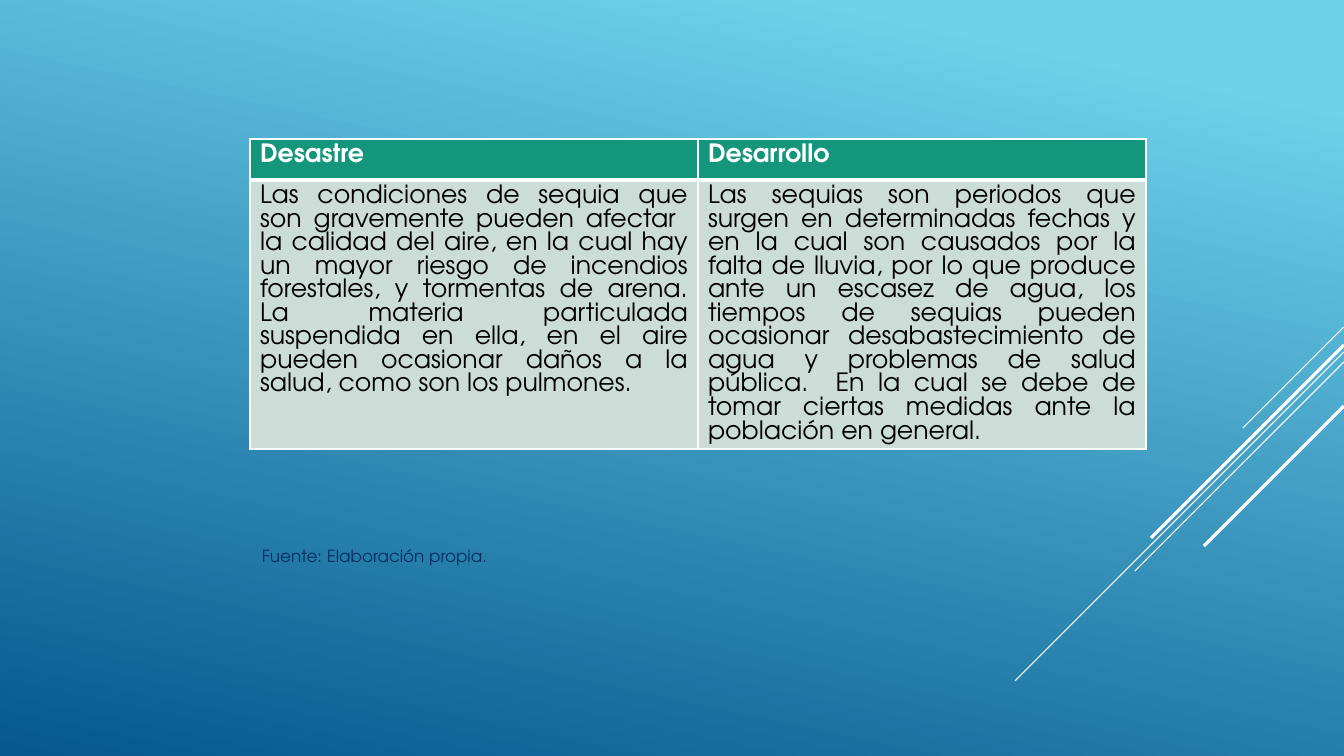
import pptx
import pptx.util
import pptx.dml.color
import pptx.enum.shapes
import pptx.enum.text
import pptx.oxml.ns
import lxml.etree

PX = 12192000 / 1344
FONT = "TeX Gyre Adventor"
COLORS = {"sky": "6ED2EB", "deep": "06588E", "white": "FFFFFF", "black": "000000",
          "header": "14967C", "body": "CCDDD7", "source": "052F61"}


def px(length):
    return pptx.util.Emu(round(length * PX))


def rgb(name):
    return pptx.dml.color.RGBColor.from_string(COLORS[name])


presentation = pptx.Presentation()
presentation.slide_width, presentation.slide_height = px(1344), px(756)
slide = presentation.slides.add_slide(presentation.slide_layouts[6])

# Background gradient
background = slide.background.fill
background.gradient()
background.gradient_angle = 360 - 102
for stop, (position, color) in zip(background.gradient_stops, [(0.1, "sky"), (1, "deep")]):
    stop.position = position
    stop.color.rgb = rgb(color)

# Diagonal lines from the right edge: start height, run, width in points
for top, run, width in [(327, 101, 0.75), (352, 329, 0.75), (362, 209, 0.75),
                        (345, 193, 2.25), (406, 140, 2.25)]:
    line = slide.shapes.add_connector(pptx.enum.shapes.MSO_CONNECTOR.STRAIGHT,
                                      px(1344), px(top), px(1344 - run), px(top + run))
    line.line.color.rgb = rgb("white")
    line.line.width = pptx.util.Pt(width)
    lxml.etree.SubElement(line._element.spPr, pptx.oxml.ns.qn("a:effectLst"))

# Table
rows = [
    ("Desastre", "Desarrollo"),
    ("Las condiciones de sequia que son gravemente pueden afectar  la calidad del aire, "
     "en la cual hay un mayor riesgo de incendios forestales, y tormentas de arena. "
     "La materia particulada suspendida en ella, en el aire pueden ocasionar daños a la "
     "salud, como son los pulmones. ",
     "Las sequias son periodos que surgen en determinadas fechas y en la cual son causados "
     "por la falta de lluvia, por lo que produce ante un escasez de agua, los tiempos de "
     "sequias pueden ocasionar desabastecimiento de agua y problemas de salud pública.  "
     "En la cual se debe de tomar ciertas medidas ante la población en general. "),
]
row_styles = [
    {"height": 41, "fill": "header", "text": "white", "bold": True, "align": "LEFT",
     "borders": {"lnL": 1, "lnR": 1, "lnT": 1, "lnB": 3}},
    {"height": 269, "fill": "body", "text": "black", "bold": False, "align": "JUSTIFY",
     "borders": {"lnL": 1, "lnR": 1, "lnT": 3, "lnB": 1}},
]
table = slide.shapes.add_table(2, 2, px(250), px(139), px(896), px(310)).table
for row, texts, style in zip(table.rows, rows, row_styles):
    row.height = px(style["height"])
    for cell, text in zip(row.cells, texts):
        cell.text = text
        paragraph = cell.text_frame.paragraphs[0]
        paragraph.alignment = getattr(pptx.enum.text.PP_ALIGN, style["align"])
        paragraph.font.name = FONT
        paragraph.font.size = pptx.util.Pt(18)
        paragraph.font.bold = style["bold"]
        paragraph.font.color.rgb = rgb(style["text"])
        properties = cell._tc.get_or_add_tcPr()
        for side, width in style["borders"].items():
            border = lxml.etree.SubElement(properties, pptx.oxml.ns.qn("a:" + side),
                                           w=str(pptx.util.Pt(width)))
            solid = lxml.etree.SubElement(border, pptx.oxml.ns.qn("a:solidFill"))
            lxml.etree.SubElement(solid, pptx.oxml.ns.qn("a:srgbClr"), val=COLORS["white"])
        cell.fill.solid()
        cell.fill.fore_color.rgb = rgb(style["fill"])

# Source note
note = slide.shapes.add_textbox(px(250), px(541), px(254), px(30)).text_frame
note.word_wrap = False
note.auto_size = pptx.enum.text.MSO_AUTO_SIZE.SHAPE_TO_FIT_TEXT
note.text = "Fuente: Elaboración propia. "
paragraph = note.paragraphs[0]
paragraph.alignment = pptx.enum.text.PP_ALIGN.CENTER
paragraph.font.name = FONT
paragraph.font.size = pptx.util.Pt(12)
paragraph.font.color.rgb = rgb("source")

presentation.save("out.pptx")
